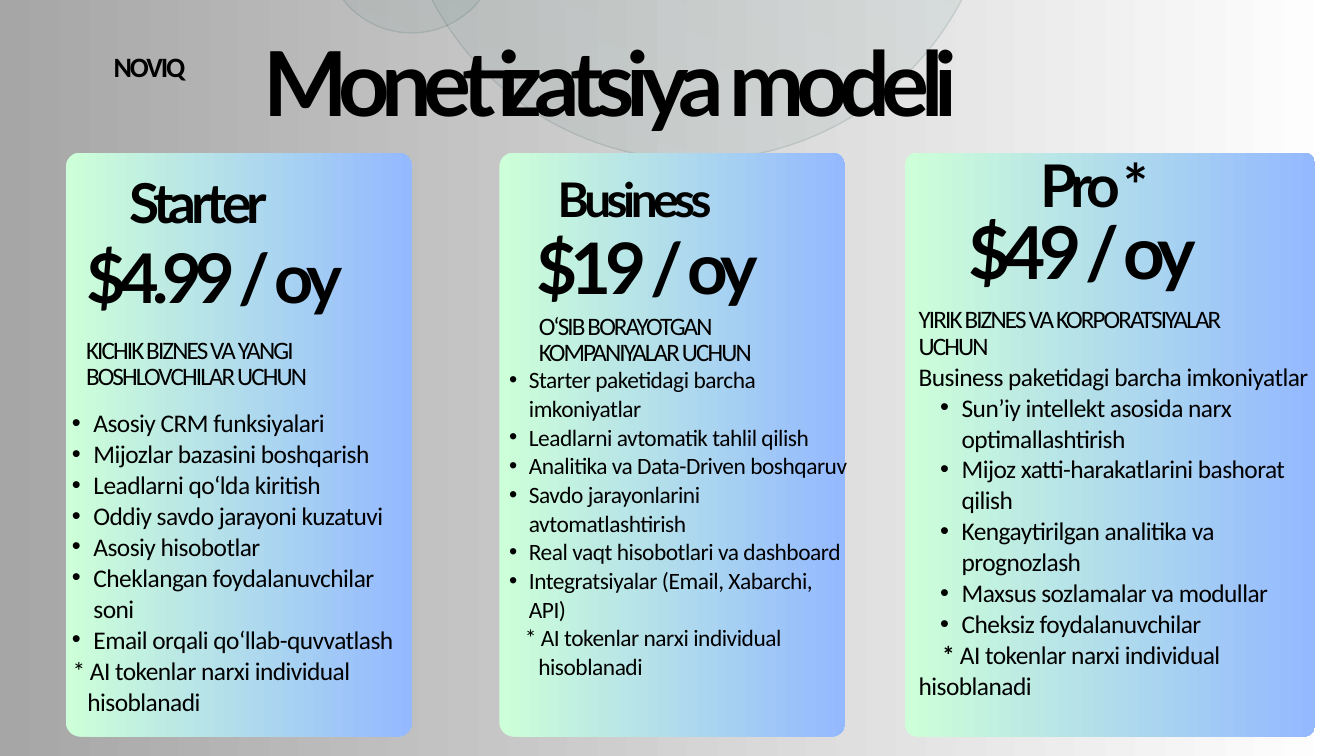
from lxml.etree import SubElement as Sub
from pptx import Presentation
from pptx.dml.color import RGBColor as RGB
from pptx.enum.shapes import MSO_SHAPE as Shape
from pptx.enum.text import MSO_ANCHOR as Anchor, MSO_AUTO_SIZE as Auto, PP_ALIGN as Align
from pptx.oxml.ns import qn
from pptx.util import Inches, Pt

COLORS = {
    "text": "000000", "grey": "A6A6A6", "white": "FFFFFF",
    "mint": "CDFFD8", "blue": "94B9FF",
    "teal": "3B6261", "sage": "6F9F97", "edge": "163B42",
}
HEAD, BODY = "Lato", "Calibri"
CARD_TOP, CARD_HIGH = 2.27, 8.69
NOTE = "AI tokenlar narxi individual hisoblanadi"

# card: left, width, corner radius
# name, price: text, left, top, width, size, spacing
# aim: text, left, top, width, line height
# list: left, top, width, size, line height, spacing, bullet indent
# note: left margin, first-line indent, bold star
PLANS = [
    {
        "card": (0.98, 5.15, 0.21),
        "name": ("Starter", 1.93, 2.68, 3, 58.9, -5.5),
        "price": ("$4.99 / oy", 1.28, 3.71, 4.45, 73.3, -6.9),
        "aim": ("KICHIK BIZNES VA YANGI BOSHLOVCHILAR UCHUN", 1.28, 5.04, 4.55, 28),
        "list": (0.75, 6.05, 5.38, 27.2, 33.2, -0.6, 0.64),
        "intro": None,
        "items": [
            "Asosiy CRM funksiyalari", "Mijozlar bazasini boshqarish",
            "Leadlarni qo‘lda kiritish", "Oddiy savdo jarayoni kuzatuvi",
            "Asosiy hisobotlar", "Cheklangan foydalanuvchilar soni",
            "Email orqali qo‘llab-quvvatlash",
        ],
        "note": (0.55, -0.22, False),
    },
    {
        "card": (7.43, 5.15, 0.21),
        "name": ("Business", 8.3, 2.68, 2.67, 51.1, -4.8),
        "price": ("$19 / oy", 7.98, 3.55, 3.96, 76, -7.1),
        "aim": ("O‘SIB BORAYOTGAN KOMPANIYALAR UCHUN", 8.02, 4.7, 4.55, 26.9),
        "list": (7.28, 5.43, 5.35, 25.1, 30.7, -0.5, 0.59),
        "intro": None,
        "items": [
            "Starter paketidagi barcha imkoniyatlar",
            "Leadlarni avtomatik tahlil qilish",
            "Analitika va Data-Driven boshqaruv",
            "Savdo jarayonlarini avtomatlashtirish",
            "Real vaqt hisobotlari va dashboard",
            "Integratsiyalar (Email, Xabarchi, API)",
        ],
        "note": (0.73, -0.2, False),
    },
    {
        "card": (13.47, 6.1, 0.17),
        "name": ("Pro *", 15.48, 2.4, 3.28, 63, -5.9),
        "price": ("$49 / oy", 14.41, 3.3, 4.07, 78.1, -7.3),
        "aim": ("YIRIK BIZNES VA KORPORATSIYALAR UCHUN", 13.67, 4.57, 5.3, 28.5),
        "list": (13.67, 5.36, 5.9, 27.2, 33.2, -0.6, 0.64),
        "intro": "Business paketidagi barcha imkoniyatlar",
        "items": [
            "Sun’iy intellekt asosida narx optimallashtirish",
            "Mijoz xatti-harakatlarini bashorat qilish",
            "Kengaytirilgan analitika va prognozlash",
            "Maxsus sozlamalar va modullar", "Cheksiz foydalanuvchilar",
        ],
        "note": (0, 0.35, True),
    },
]


def color(name):
    return RGB.from_string(COLORS[name])


def blend(fill, start, end):
    """Fill with a left-to-right gradient of two colours."""
    fill.gradient()
    fill.gradient_angle = 0
    for stop, name in zip(fill.gradient_stops, (start, end)):
        stop.color.rgb = color(name)


def add_circle(slide, left, top, size):
    disc = slide.shapes.add_shape(Shape.OVAL, *map(Inches, (left, top, size, size)))
    disc.shadow.inherit = False
    disc.rotation = 102.4
    blend(disc.fill, "teal", "sage")
    disc.line.color.rgb = color("edge")
    disc.line.width = Pt(1.5)
    for tone in disc.element.spPr.iter(qn("a:srgbClr")):
        Sub(tone, qn("a:alpha"), val="10000")


def add_card(slide, left, width, radius):
    card = slide.shapes.add_shape(
        Shape.ROUNDED_RECTANGLE, *map(Inches, (left, CARD_TOP, width, CARD_HIGH)))
    card.shadow.inherit = False
    card.adjustments[0] = radius / min(width, CARD_HIGH)
    blend(card.fill, "mint", "blue")
    card.line.fill.background()


def set_frame(frame):
    frame.word_wrap = True
    frame.auto_size = Auto.NONE
    frame.vertical_anchor = Anchor.TOP
    frame.margin_left = frame.margin_right = 0
    frame.margin_top = frame.margin_bottom = 0
    return frame


def add_box(slide, left, top, width, high):
    box = slide.shapes.add_textbox(*map(Inches, (left, top, width, high)))
    return set_frame(box.text_frame)


def style(para, font, size, line, gap, bold=False):
    """Format a paragraph; line is its height and gap its letter spacing."""
    para.alignment = Align.LEFT
    para.line_spacing = Pt(line)
    para.font.name = font
    para.font.size = Pt(size)
    para.font.bold = bold
    para.font.color.rgb = color("text")
    for run in para.runs:
        run._r.get_or_add_rPr().set("spc", str(round(gap * 100)))


def indent(para, margin, first):
    props = para._p.get_or_add_pPr()
    props.set("marL", str(Inches(margin)))
    props.set("indent", str(Inches(first)))
    return props


def add_line(slide, text, left, top, width, font, size, line, gap, bold=True):
    para = add_box(slide, left, top, width, 0.8).paragraphs[0]
    para.text = text
    style(para, font, size, line, gap, bold)


def add_title(slide, text):
    title = slide.shapes.title
    slide.shapes.element.append(title.element)  # in front of the circles
    title.left, title.top, title.width, title.height = map(
        Inches, (3.92, 0.68, 13.2, 2.7))
    para = set_frame(title.text_frame).paragraphs[0]
    para.text = text
    style(para, HEAD, 96, 95, -9, True)


def add_list(slide, plan):
    left, top, width, size, line, gap, inset = plan["list"]
    frame = add_box(slide, left, top, width, 5)
    paras = [frame.paragraphs[0]]
    count = len(plan["items"]) + bool(plan["intro"]) + 1
    paras += [frame.add_paragraph() for _ in range(count - 1)]
    if plan["intro"]:
        paras[0].text = plan["intro"]
    for para, item in zip(paras[-len(plan["items"]) - 1:], plan["items"]):
        para.text = item
        props = indent(para, inset, -inset / 2)
        Sub(props, qn("a:buFont"), typeface="Arial")
        Sub(props, qn("a:buChar"), char="•")
    margin, first, strong = plan["note"]
    indent(paras[-1], margin, first)
    star = paras[-1].add_run()
    star.text = "* "
    paras[-1].add_run().text = NOTE
    for para in paras:
        style(para, BODY, size, line, gap)
    if strong:
        star.font.bold = True


def add_plan(slide, plan):
    add_card(slide, *plan["card"])
    for text, left, top, width, size, gap in (plan["name"], plan["price"]):
        add_line(slide, text, left, top, width, HEAD, size, size * 0.99, gap)
    text, left, top, width, line = plan["aim"]
    add_line(slide, text, left, top, width, BODY, 26.9, line, -2, False)
    add_list(slide, plan)


def main():
    deck = Presentation()
    deck.slide_width, deck.slide_height = Inches(20), Inches(11.25)
    slide = deck.slides.add_slide(deck.slide_layouts[5])
    blend(slide.background.fill, "grey", "white")
    add_circle(slide, 5.92, -6.52, 8.9)
    add_circle(slide, 4.83, -2.1, 2.59)
    add_line(slide, "NOVIQ", 1.69, 0.88, 5.07, BODY, 30, 25.5, -2.2)
    add_title(slide, "Monetizatsiya modeli")
    for plan in PLANS:
        add_plan(slide, plan)
    deck.save("out.pptx")


if __name__ == "__main__":
    main()
